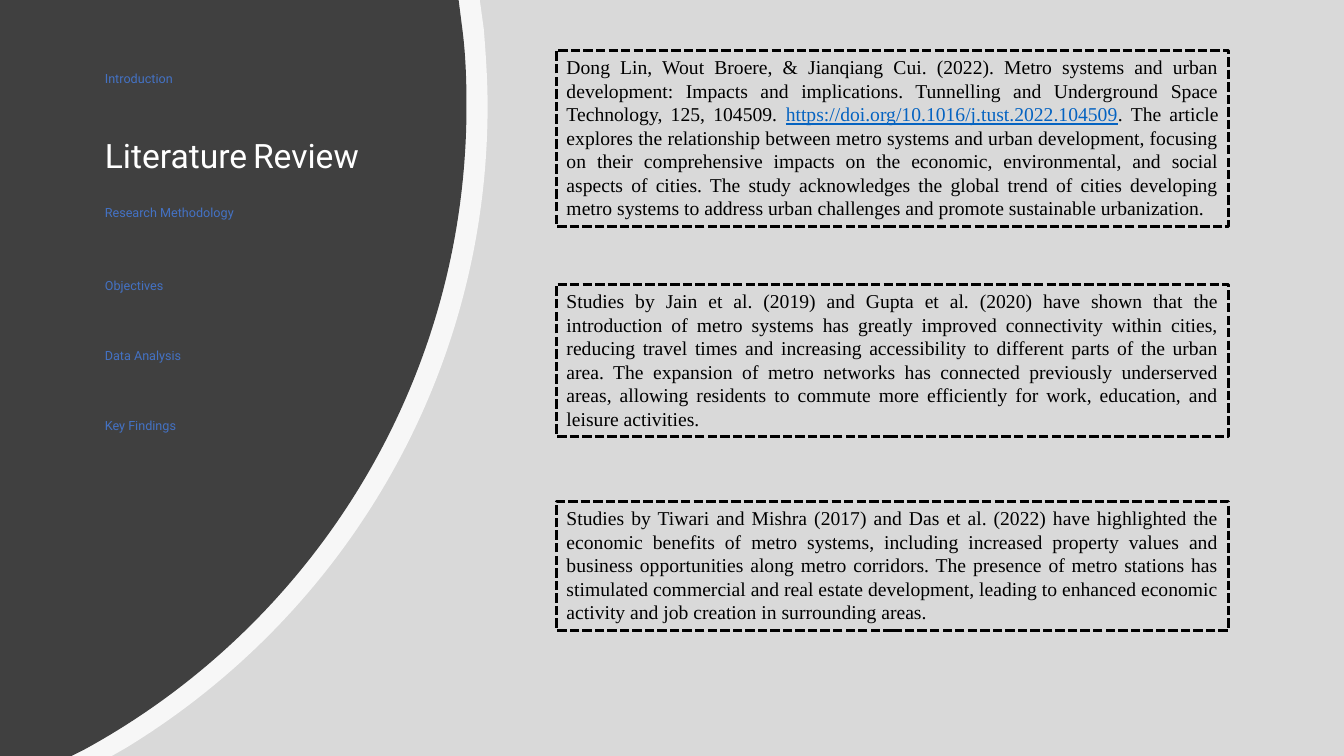
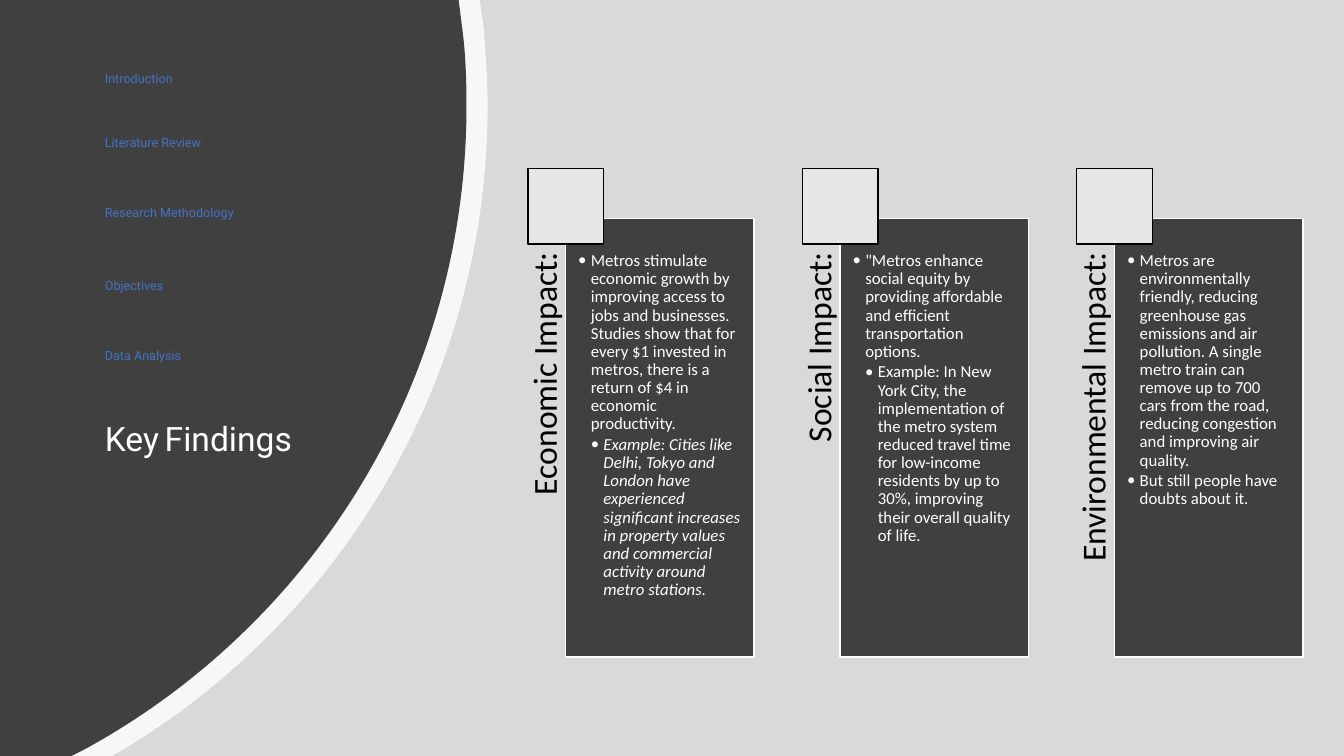
"""Builds two slides of a metro study: literature review and key findings."""
import dataclasses

import pptx
import pptx.dml.color
import pptx.enum.dml
import pptx.enum.shapes
import pptx.enum.text
import pptx.oxml
import pptx.oxml.ns
import pptx.util

COLORS = {
    "canvas": "D9D9D9", "dark": "404040", "white": "FFFFFF", "black": "000000",
    "nav": "4472C4", "link": "0563C1", "tile": "E7E6E6",
}
SLIDE_WIDTH, SLIDE_HEIGHT = pptx.util.Emu(12192000), pptx.util.Emu(6858000)
COLUMNS, ROWS = 160, 90
CELL = SLIDE_WIDTH / COLUMNS
ALIGN = pptx.enum.text.PP_ALIGN
RECTANGLE = pptx.enum.shapes.MSO_SHAPE.RECTANGLE
NAMESPACE = pptx.oxml.ns.nsdecls("a")


@dataclasses.dataclass(frozen=True)
class Span:
    """A stretch of text in one style."""
    text: str
    size: float
    color: str
    font: str = "Calibri"
    italic: bool = False
    underline: bool = False


@dataclasses.dataclass(frozen=True)
class Paragraph:
    """Spans set as one paragraph, bulleted when level is above zero."""
    spans: list[Span]
    align: ALIGN = ALIGN.LEFT
    line_spacing: float = 1.0
    space_after: float = 0
    level: int = 0


@dataclasses.dataclass(frozen=True)
class Box:
    """A place on the grid, in columns and rows."""
    left: float
    top: float
    width: float
    height: float


@dataclasses.dataclass(frozen=True)
class Arc:
    """The curved right edge of a side panel, in grid points."""
    top: tuple[float, float]
    shoulder: tuple[float, float]
    curves: list[list[tuple[float, float]]]
    foot: tuple[float, float]
    color: str
    opacity: int


@dataclasses.dataclass(frozen=True)
class Section:
    """An entry of the side navigation."""
    title: str
    top: float


@dataclasses.dataclass(frozen=True)
class Review:
    """A framed literature summary."""
    top: float
    height: float
    spans: list[Span]


@dataclasses.dataclass(frozen=True)
class Finding:
    """A column of findings with bullet level, text and italic flag."""
    title: str
    points: list[tuple[int, str, bool]]


def quote(text: str, color: str = "black", underline: bool = False) -> Span:
    """Return a span in the review style."""
    return Span(text, 14, color, "Times New Roman", underline=underline)


ARCS = [
    Arc((57.12, 0), (57.6, 3.48),
        [[(57.84, 6.48), (58.05, 9.6), (58.05, 12.6)],
         [(58.05, 45), (40.8, 73.32), (15, 89.04)]],
        (13.32, 90), "white", 80),
    Arc((54.6, 0), (55.08, 3.72),
        [[(55.44, 6.6), (55.54, 9.6), (55.54, 12.6)],
         [(55.54, 45.72), (37.08, 74.52), (9.96, 89.28)]],
        (8.52, 90), "dark", 100),
]
SECTIONS = [
    Section("Introduction", 7.8),
    Section("Literature Review", 15.48),
    Section("Research Methodology", 23.76),
    Section("Objectives", 32.45),
    Section("Data Analysis", 40.8),
    Section("Key Findings", 49.2),
]
REVIEWS = [
    Review(5.97, 21, [
        quote("Dong Lin, Wout Broere, & Jianqiang Cui. (2022). Metro systems and urban "
              "development: Impacts and implications. Tunnelling and Underground Space "
              "Technology, 125, 104509. "),
        quote("https://doi.org/10.1016/j.tust.2022.104509", "link", True),
        quote(". The article explores the relationship between metro systems and urban "
              "development, focusing on their comprehensive impacts on the economic, "
              "environmental, and social aspects of cities. The study acknowledges the "
              "global trend of cities developing metro systems to address urban challenges "
              "and promote sustainable urbanization. "),
    ]),
    Review(33.84, 18.12, [
        quote("Studies by Jain et al. (2019) and Gupta et al. (2020) have shown that the "
              "introduction of metro systems has greatly improved connectivity within "
              "cities, reducing travel times and increasing accessibility to different "
              "parts of the urban area. The expansion of metro networks has connected "
              "previously underserved areas, allowing residents to commute more "
              "efficiently for work, education, and leisure activities."),
    ]),
    Review(59.68, 15.36, [
        quote("Studies by Tiwari and Mishra (2017) and Das et al. (2022) have highlighted "
              "the economic benefits of metro systems, including increased property values "
              "and business opportunities along metro corridors. The presence of metro "
              "stations has stimulated commercial and real estate development, leading to "
              "enhanced economic activity and job creation in surrounding areas."),
    ]),
]
FINDINGS = [
    Finding("Economic Impact:", [
        (1, "Metros stimulate economic growth by improving access to jobs and businesses. "
            "Studies show that for every $1 invested in metros, there is a return of $4 in "
            "economic productivity.", False),
        (2, "Example: Cities like Delhi, Tokyo and London have experienced significant "
            "increases in property values and commercial activity around metro stations.",
         True),
    ]),
    Finding("Social Impact:", [
        (1, "\"Metros enhance social equity by providing affordable and efficient "
            "transportation options.", False),
        (2, "Example: In New York City, the implementation of the metro system reduced "
            "travel time for low-income residents by up to 30%, improving their overall "
            "quality of life.", False),
    ]),
    Finding("Environmental Impact:", [
        (1, "Metros are environmentally friendly, reducing greenhouse gas emissions and "
            "air pollution. A single metro train can remove up to 700 cars from the road, "
            "reducing congestion and improving air quality.", False),
        (1, "But still people have doubts about it.", False),
    ]),
]


def cells(count: float) -> pptx.util.Emu:
    """Convert grid cells to a length."""
    return pptx.util.Emu(round(count * CELL))


def rgb(color: str) -> pptx.dml.color.RGBColor:
    """Look up a named colour."""
    return pptx.dml.color.RGBColor.from_string(COLORS[color])


def place(box: Box) -> tuple[pptx.util.Emu, ...]:
    """Convert a grid box to lengths."""
    return tuple(cells(value) for value in dataclasses.astuple(box))


def write(frame, paragraphs: list[Paragraph], insets=(1.2, 0.6, 1.2, 0.6)) -> None:
    """Fill a text frame with styled paragraphs."""
    frame.word_wrap = True
    frame.vertical_anchor = pptx.enum.text.MSO_ANCHOR.TOP
    (frame.margin_left, frame.margin_top,
     frame.margin_right, frame.margin_bottom) = map(cells, insets)
    for index, content in enumerate(paragraphs):
        paragraph = frame.add_paragraph() if index else frame.paragraphs[0]
        paragraph.alignment = content.align
        paragraph.line_spacing = content.line_spacing
        paragraph.space_after = pptx.util.Pt(content.space_after)
        if content.level:
            add_bullet(paragraph, content.level)
        for span in content.spans:
            run = paragraph.add_run()
            run.text = span.text
            run.font.name = span.font
            run.font.size = pptx.util.Pt(span.size)
            run.font.italic = span.italic
            run.font.underline = span.underline
            run.font.color.rgb = rgb(span.color)


def add_bullet(paragraph, level: int) -> None:
    """Give a paragraph a hanging round bullet."""
    paragraph.level = level
    step = cells(1.5)
    properties = paragraph._p.get_or_add_pPr()
    properties.set("marL", str(step * level))
    properties.set("indent", str(-step))
    for mark in ('buFont {} typeface="Calibri"', 'buChar {} char="•"'):
        properties.append(pptx.oxml.parse_xml(f"<a:{mark.format(NAMESPACE)}/>"))


def add_panel(slide, box: Box, fill: str | None, line: str | None, weight: float = 1):
    """Draw a rectangle with an optional fill and outline."""
    panel = slide.shapes.add_shape(RECTANGLE, *place(box))
    panel.shadow.inherit = False
    if fill:
        panel.fill.solid()
        panel.fill.fore_color.rgb = rgb(fill)
    else:
        panel.fill.background()
    if line:
        panel.line.color.rgb = rgb(line)
        panel.line.width = pptx.util.Pt(weight)
    else:
        panel.line.fill.background()
    return panel


def add_arc(slide, arc: Arc) -> None:
    """Draw a side panel whose right edge is made of cubic curves."""
    controls = [point for curve in arc.curves for point in curve]
    outline = [arc.top, arc.shoulder, *controls, arc.foot, (0, ROWS)]
    builder = slide.shapes.build_freeform(0, 0, scale=1.0)
    builder.add_line_segments([(cells(x), cells(y)) for x, y in outline], close=True)
    side = builder.convert_to_shape()
    segments = list(side.element.iter(pptx.oxml.ns.qn("a:lnTo")))
    for first in range(2, 2 + len(controls), 3):
        curve = pptx.oxml.parse_xml(f"<a:cubicBezTo {NAMESPACE}/>")
        segments[first].addprevious(curve)
        for segment in segments[first:first + 3]:
            curve.append(segment[0])
            segment.getparent().remove(segment)
    side.shadow.inherit = False
    side.fill.solid()
    side.fill.fore_color.rgb = rgb(arc.color)
    side.line.fill.background()
    if arc.opacity < 100:
        tint = side.element.spPr.find(".//" + pptx.oxml.ns.qn("a:srgbClr"))
        tint.append(pptx.oxml.parse_xml(
            f'<a:alpha {NAMESPACE} val="{arc.opacity * 1000}"/>'))


def add_section_slide(deck, current: str):
    """Add a slide with the side navigation and one section highlighted."""
    slide = deck.slides.add_slide(deck.slide_layouts[6])
    add_panel(slide, Box(0, 0, COLUMNS, ROWS), "canvas", None)
    for arc in ARCS:
        add_arc(slide, arc)
    for section in SECTIONS:
        active = section.title == current
        if active:
            first, second = section.title.split()
            spans = [Span(first, 24, "white", "Roboto"), Span(" ", 18, "black"),
                     Span(second, 24, "white", "Roboto")]
        else:
            spans = [Span(section.title, 9, "nav", "Roboto")]
        entry = slide.shapes.add_textbox(
            *place(Box(11.3, section.top, 80, 6 if active else 4.8)))
        write(entry.text_frame, [Paragraph(spans)])
    return slide


def add_review(slide, review: Review) -> None:
    """Draw a dashed frame holding a review."""
    frame = add_panel(slide, Box(66.26, review.top, 80, review.height), None, "black", 2.25)
    frame.line.dash_style = pptx.enum.dml.MSO_LINE.SQUARE_DOT
    write(frame.text_frame, [Paragraph(review.spans, ALIGN.JUSTIFY)])


def add_finding(slide, finding: Finding, column: int) -> None:
    """Draw a column with an upright title, a text panel and a tile."""
    tile = Box(62.84 + 32.67 * column, 20.06, 9, 9)
    body = Box(tile.left + tile.width / 2, 26.04, 22.44, 52.2)
    label_height = tile.width / 2
    label = Box(tile.left + tile.width / 4 - body.height / 2,
                body.top + body.height / 2 - label_height / 2, body.height, label_height)
    title = slide.shapes.add_textbox(*place(label))
    title.rotation = 270
    write(title.text_frame,
          [Paragraph([Span(finding.title, 24, "black")], ALIGN.RIGHT, 0.9)], (0, 0, 4, 0))
    panel = add_panel(slide, body, "dark", "white")
    write(panel.text_frame,
          [Paragraph([Span(text, 12, "white", italic=italic)], ALIGN.LEFT, 0.9, 1.8, level)
           for level, text, italic in finding.points], (1.5, 3.97, 1.5, 1.5))
    add_panel(slide, tile, "tile", "black")


def main() -> None:
    """Build and save the deck."""
    deck = pptx.Presentation()
    deck.slide_width, deck.slide_height = SLIDE_WIDTH, SLIDE_HEIGHT
    literature = add_section_slide(deck, "Literature Review")
    for review in REVIEWS:
        add_review(literature, review)
    findings = add_section_slide(deck, "Key Findings")
    for column, finding in enumerate(FINDINGS):
        add_finding(findings, finding, column)
    deck.save("out.pptx")


if __name__ == "__main__":
    main()
